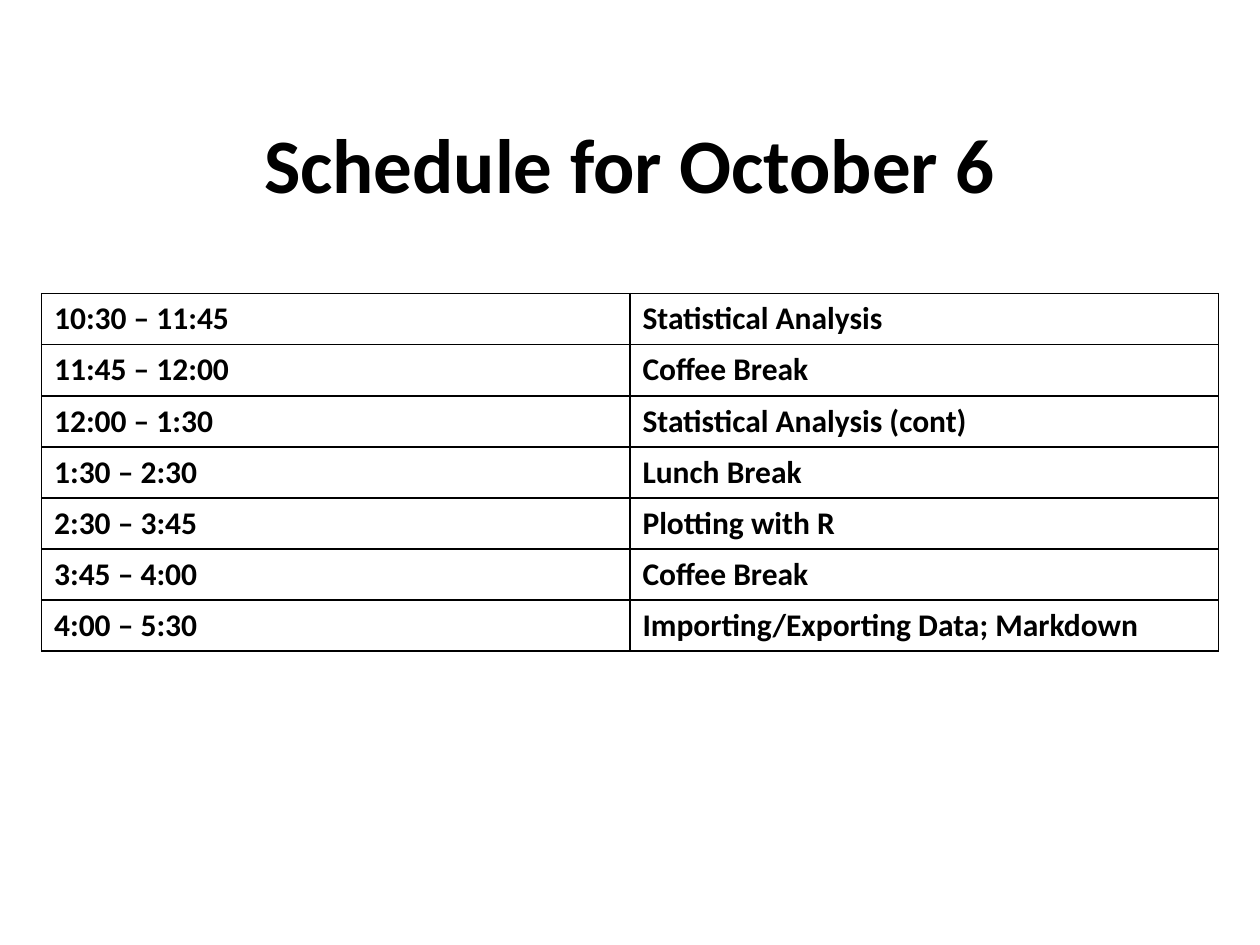
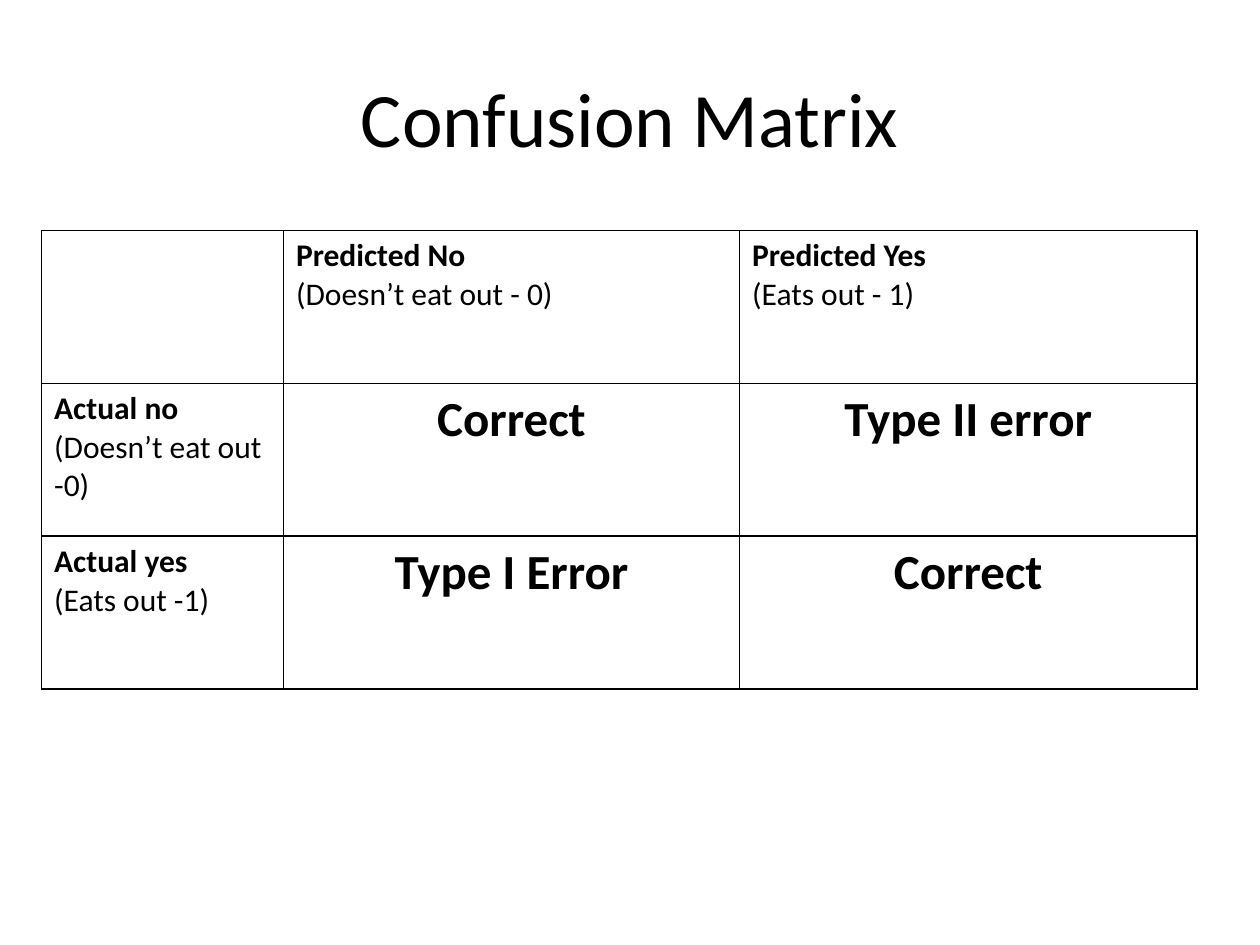
import pptx
import pptx.util
import pptx.dml.color
import pptx.enum.text
import pptx.oxml
import pptx.oxml.ns
from pptx.util import Inches

FONT = "Calibri"
BLACK = "000000"
BORDER_PT = 0.96
TABLE_LEFT = 0.33
CENTER = pptx.enum.text.PP_ALIGN.CENTER
LEFT = pptx.enum.text.PP_ALIGN.LEFT


def add_run(p, text, size, bold, color=BLACK):
    r = p.add_run()
    r.text = text
    r.font.name = FONT
    r.font.size = pptx.util.Pt(size)
    r.font.bold = bold
    r.font.color.rgb = pptx.dml.color.RGBColor.from_string(color)


def add_borders(cell, color=BLACK):
    tcPr = cell._tc.get_or_add_tcPr()
    for side in ("lnL", "lnR", "lnT", "lnB"):
        tcPr.append(pptx.oxml.parse_xml(
            f'<a:{side} {pptx.oxml.ns.nsdecls("a")} w="{int(pptx.util.Pt(BORDER_PT))}">'
            f'<a:solidFill><a:srgbClr val="{color}"/></a:solidFill></a:{side}>'))


# Each cell is a list of lines: (text, size, bold, alignment)
schedule = [
    ("10:30 – 11:45", "Statistical Analysis"),
    ("11:45 – 12:00", "Coffee Break"),
    ("12:00 – 1:30", "Statistical Analysis (cont)"),
    ("1:30 – 2:30", "Lunch Break"),
    ("2:30 – 3:45", "Plotting with R"),
    ("3:45 – 4:00", "Coffee Break"),
    ("4:00 – 5:30", "Importing/Exporting Data; Markdown"),
]
schedule_rows = [[[(text, 18, True, LEFT)] for text in row] for row in schedule]

# Confusion matrix: headings have a bold name over a plain note, outcomes are large
predicted = [("Predicted No", "(Doesn’t eat out - 0)"), ("Predicted Yes", "(Eats out - 1)")]
actual = [("Actual no", "(Doesn’t eat out -0)"), ("Actual yes", "(Eats out -1)")]
outcomes = [("Correct", "Type II error"), ("Type I Error", "Correct")]
heading_cells = [[(name, 18, True, LEFT), (note, 18, False, LEFT)]
                 for name, note in predicted + actual]
matrix_rows = [[[]] + heading_cells[:2]]
for heading, row in zip(heading_cells[2:], outcomes):
    matrix_rows.append([heading] + [[(text, 28, True, CENTER)] for text in row])

# Title, bold title, title top, table top, column widths, row height, rows
slides = [
    ("Schedule for October 6", True, 0.67, 2.33, (4.67, 4.67), 0.405, schedule_rows),
    ("Confusion Matrix", False, 0.3, 1.83, (1.92, 3.62, 3.63), 1.213, matrix_rows),
]

prs = pptx.Presentation()
prs.slide_width, prs.slide_height = Inches(10), Inches(7.5)

for title, bold, title_top, table_top, widths, row_height, rows in slides:
    s = prs.slides.add_slide(prs.slide_layouts[5])

    # Title
    sp = s.shapes.title
    sp.left, sp.top, sp.width, sp.height = Inches(0.5), Inches(title_top), Inches(9), Inches(1.25)
    tf = sp.text_frame
    tf.vertical_anchor = pptx.enum.text.MSO_ANCHOR.MIDDLE
    p = tf.paragraphs[0]
    p.alignment = CENTER
    add_run(p, title, 44, bold)

    # Table
    table = s.shapes.add_table(
        len(rows), len(widths), Inches(TABLE_LEFT), Inches(table_top),
        Inches(sum(widths)), Inches(row_height * len(rows))).table
    table.first_row = table.horz_banding = False
    for column, width in zip(table.columns, widths):
        column.width = Inches(width)
    for table_row, row in zip(table.rows, rows):
        table_row.height = Inches(row_height)
        for cell, lines in zip(table_row.cells, row):
            add_borders(cell)
            cell.fill.background()
            tf = cell.text_frame
            for i, (text, size, line_bold, alignment) in enumerate(lines):
                p = tf.add_paragraph() if i else tf.paragraphs[0]
                p.alignment = alignment
                add_run(p, text, size, line_bold)

prs.save("out.pptx")
